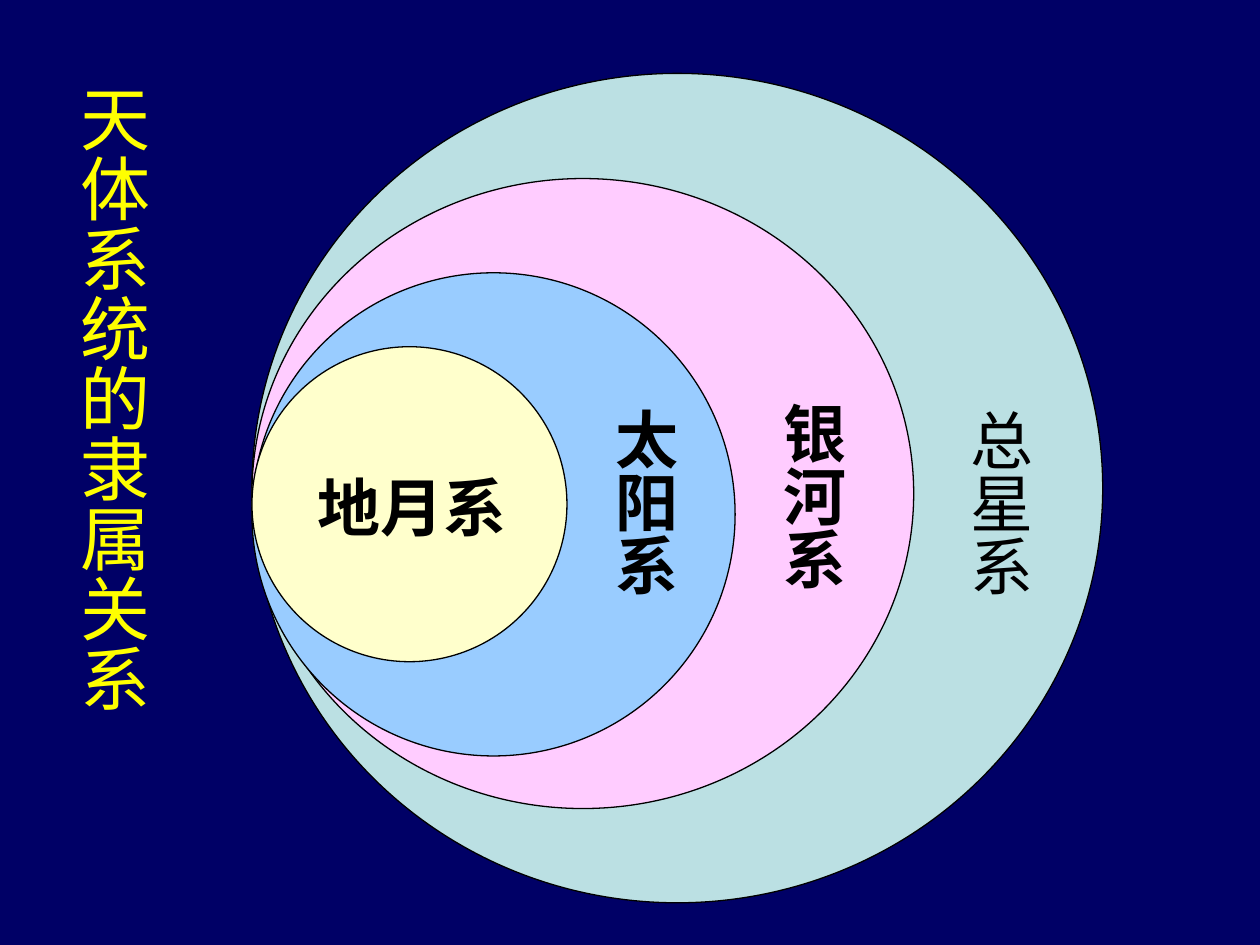
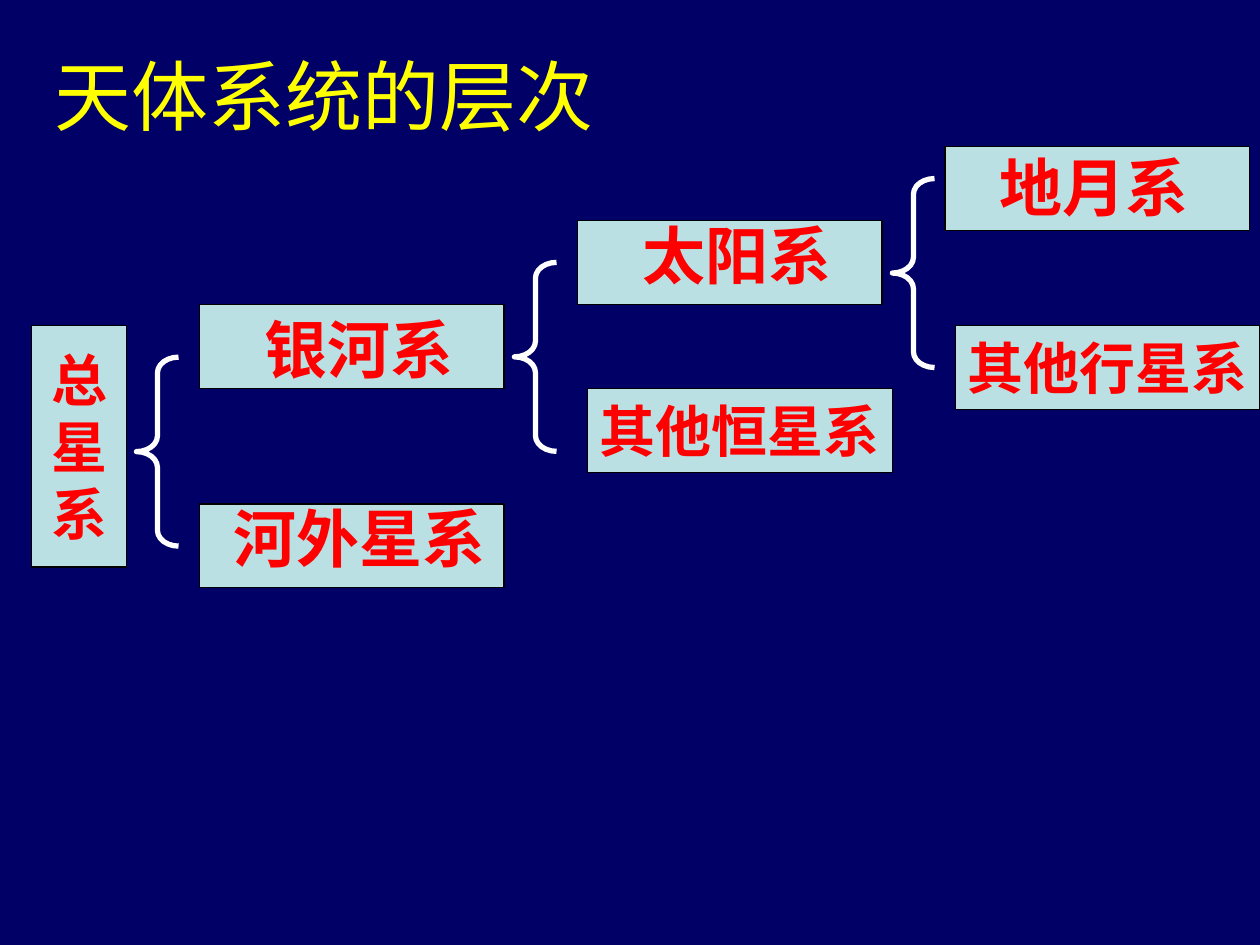
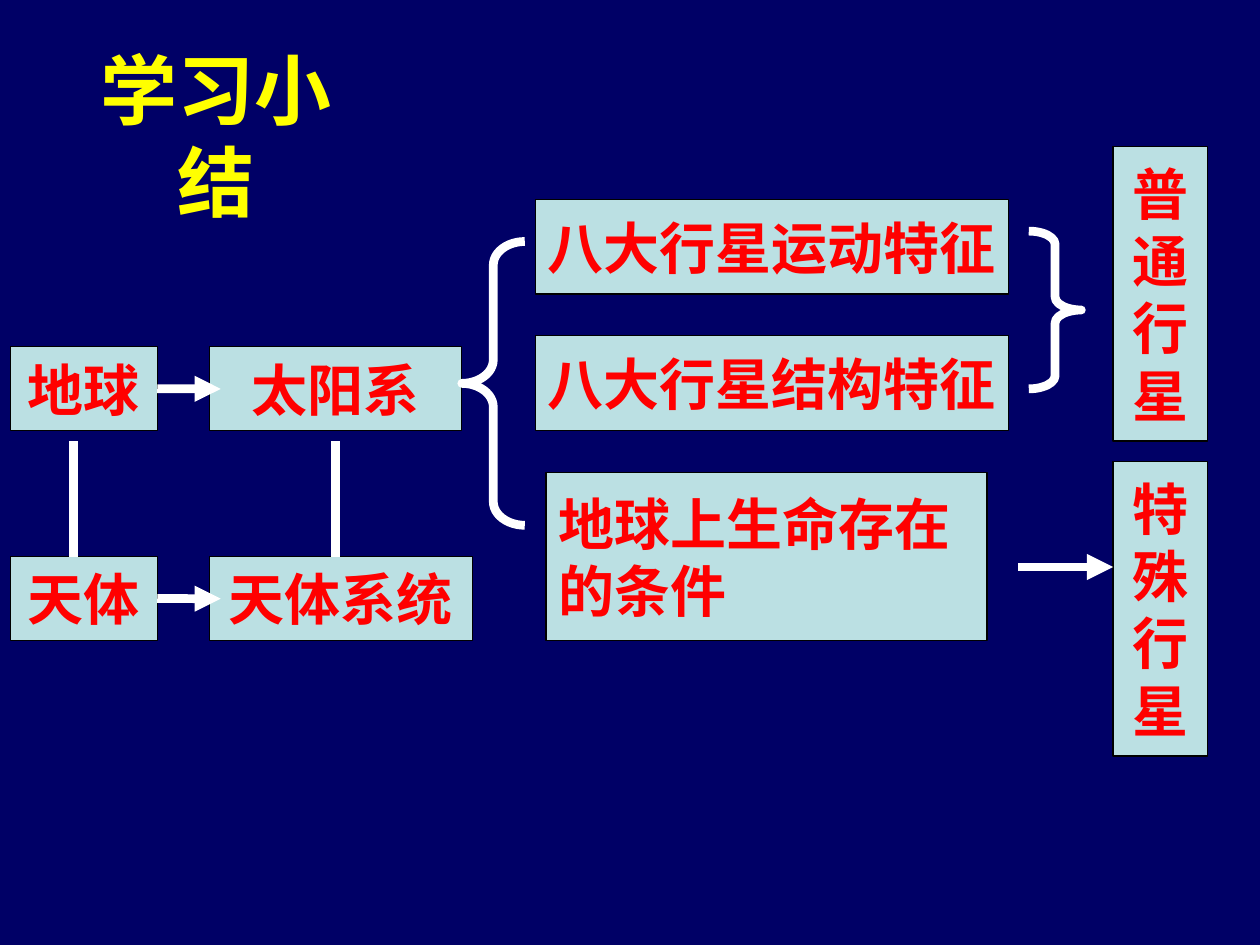
import pptx
import pptx.util
import pptx.dml.color
import pptx.enum.shapes
import pptx.enum.text
import pptx.oxml.ns
import lxml.etree

Cm = pptx.util.Cm
Pt = pptx.util.Pt
qn = pptx.oxml.ns.qn
SHAPES = pptx.enum.shapes.MSO_SHAPE
ALIGN = pptx.enum.text.PP_ALIGN
ANCHOR = pptx.enum.text.MSO_ANCHOR
AUTO_SIZE = pptx.enum.text.MSO_AUTO_SIZE

NAVY = "000066"
PALE_TEAL = "BBE0E3"
YELLOW = "FFFF00"
RED = "FF0000"
BLACK = "000000"
WHITE = "FFFFFF"

TITLE = {"size": Pt(44), "bold": False}
LABEL = {"size": Pt(36), "bold": True}
BOX_TEXT = {"size": Pt(32), "bold": True}
HORIZONTAL_INSETS = {"margin_left": Cm(0.25), "margin_right": Cm(0.25),
                     "margin_top": Cm(0.13), "margin_bottom": Cm(0.13)}
VERTICAL_INSETS = {"margin_left": Cm(0.13), "margin_right": Cm(0.13),
                   "margin_top": Cm(0.25), "margin_bottom": Cm(0.25)}


def rgb(hex_color):
    return pptx.dml.color.RGBColor.from_string(hex_color)


def apply(target, values):
    for name, value in values.items():
        setattr(target, name, value)


def write(frame, lines, color, font, align):
    frame.text = "\n".join(lines)
    for paragraph in frame.paragraphs:
        paragraph.alignment = align
        for run in paragraph.runs:
            apply(run.font, {"name": "Times New Roman", **font})
            run.font.color.rgb = rgb(color)


def add_label(slide, place, text, color=RED, font=LABEL, align=ALIGN.LEFT,
              wrap=False, vertical=False):
    label = slide.shapes.add_textbox(*map(Cm, place))
    insets = VERTICAL_INSETS if vertical else HORIZONTAL_INSETS
    apply(label.text_frame, {**insets, "word_wrap": wrap,
                             "auto_size": AUTO_SIZE.SHAPE_TO_FIT_TEXT})
    write(label.text_frame, [text], color, font, align)
    if vertical:
        label.element.find(".//" + qn("a:bodyPr")).set("vert", "eaVert")


def add_title(slide, place, text, bold=False):
    add_label(slide, place, text, YELLOW, {**TITLE, "bold": bold}, ALIGN.CENTER)


def add_outlined(slide, kind, place, fill=PALE_TEAL):
    outlined = slide.shapes.add_shape(kind, *map(Cm, place))
    outlined.shadow.inherit = False
    outlined.fill.solid()
    outlined.fill.fore_color.rgb = rgb(fill)
    outlined.line.color.rgb = rgb(BLACK)
    outlined.line.width = Pt(0.75)
    return outlined


def add_box(slide, place, *lines, align=ALIGN.CENTER):
    box = add_outlined(slide, SHAPES.RECTANGLE, place)
    apply(box.text_frame, {**HORIZONTAL_INSETS, "word_wrap": False,
                           "vertical_anchor": ANCHOR.MIDDLE})
    if lines:
        write(box.text_frame, lines, RED, BOX_TEXT, align)
    return box


def add_brace(slide, kind, place, weight):
    brace = slide.shapes.add_shape(kind, *map(Cm, place))
    brace.shadow.inherit = False
    brace.fill.background()
    brace.line.color.rgb = rgb(WHITE)
    brace.line.width = Pt(weight)
    width, height = place[2:]
    brace.adjustments[0] = height / 12 / width


def add_link(slide, start, end, arrow=False, source=None):
    link = slide.shapes.add_connector(
        pptx.enum.shapes.MSO_CONNECTOR.STRAIGHT, *map(Cm, start + end))
    if source is not None:
        link.begin_connect(source, 3)
    link.line.color.rgb = rgb(WHITE)
    link.line.width = Pt(5)
    properties = link.element.spPr
    if arrow:
        outline = properties.find(qn("a:ln"))
        lxml.etree.SubElement(outline, qn("a:tailEnd"), type="triangle")
    lxml.etree.SubElement(properties, qn("a:effectLst"))


def build_nested_systems(slide):
    for top, width, height, fill in [
        (1.48, 17.15, 16.72, PALE_TEAL),
        (3.6, 13.34, 12.7, "FFCCFF"),
        (5.5, 9.74, 9.74, "99CCFF"),
        (6.99, 6.35, 6.35, "FFFFCC"),
    ]:
        add_outlined(slide, SHAPES.OVAL, (5.08, top, width, height), fill)
    for left, top, name, bold in [
        (19.02, 8, "总星系", False),
        (15.24, 7.85, "银河系", True),
        (11.86, 7.98, "太阳系", True),
    ]:
        add_label(slide, (left, top, 2.03, 4.06), name, BLACK,
                  {**LABEL, "bold": bold}, vertical=True)
    add_label(slide, (1.07, 1.45, 2.18, 12.95), "天体系统的隶属关系", YELLOW,
              {"size": Pt(40), "bold": False}, vertical=True)
    add_label(slide, (6.15, 9.32, 4.32, 1.78), "地月系", BLACK)


def build_levels(slide):
    box_size = (6.14, 1.69)
    add_box(slide, (0.64, 6.56, 1.91, 4.87), *"总星系")
    add_box(slide, (11.85, 7.83, *box_size), "其他恒星系")
    add_box(slide, (19.26, 6.56, *box_size), "其他行星系")
    for corner in [(11.64, 4.45), (19.05, 2.96), (4.02, 6.14), (4.02, 10.16)]:
        add_box(slide, (*corner, *box_size))
    for level, top in enumerate([7.2, 5.29, 3.6]):
        add_brace(slide, SHAPES.LEFT_BRACE,
                  (2.75 + 7.62 * level, top, 0.85, 3.81), 3)
    for left, top, width, name in [
        (5.08, 6.14, 5.5, "银河系"),
        (4.45, 9.95, 6.56, "河外星系"),
        (12.7, 4.23, 5.5, "太阳系"),
        (19.9, 2.87, 5.5, "地月系"),
    ]:
        add_label(slide, (left, top, width, 1.78), name, wrap=True)
    add_title(slide, (0.85, 0.85, 11.38, 2.13), "天体系统的层次")


def build_summary(slide):
    add_title(slide, (1, 0.72, 6.7, 2.13), "学习小结", bold=True)
    for top, body, system, system_width in [
        (6.99, "地球", "太阳系", 5.08),
        (11.22, "天体", "天体系统", 5.29),
    ]:
        body_box = add_box(slide, (0.21, top, 2.96, 1.69), body)
        add_box(slide, (4.23, top, system_width, 1.69), system)
        middle = top + 0.85
        add_link(slide, (3.17, middle), (4.45, middle), True, body_box)
    for top, feature in [(4.02, "八大行星运动特征"), (6.77, "八大行星结构特征")]:
        add_box(slide, (10.8, top, 9.53, 1.91), feature)
    add_box(slide, (11.01, 9.53, 8.89, 3.39), "地球上生命存在", "的条件",
            align=ALIGN.LEFT)
    for top, planet in [(2.96, "普通行星"), (9.31, "特殊行星")]:
        add_box(slide, (22.44, top, 1.91, 5.93), *planet)
    add_brace(slide, SHAPES.LEFT_BRACE, (9.31, 4.87, 1.27, 5.72), 5)
    add_brace(slide, SHAPES.RIGHT_BRACE, (20.74, 4.66, 1.06, 3.18), 5)
    add_link(slide, (20.53, 11.43), (22.44, 11.43), True)
    for left in (1.48, 6.77):
        add_link(slide, (left, 8.89), (left, 11.22))


def main():
    deck = pptx.Presentation()
    apply(deck, {"slide_width": Cm(25.4), "slide_height": Cm(19.05)})
    backdrop = deck.slide_master.background.fill
    backdrop.solid()
    backdrop.fore_color.rgb = rgb(NAVY)
    for build in (build_nested_systems, build_levels, build_summary):
        build(deck.slides.add_slide(deck.slide_layouts[6]))
    deck.save("out.pptx")


if __name__ == "__main__":
    main()
